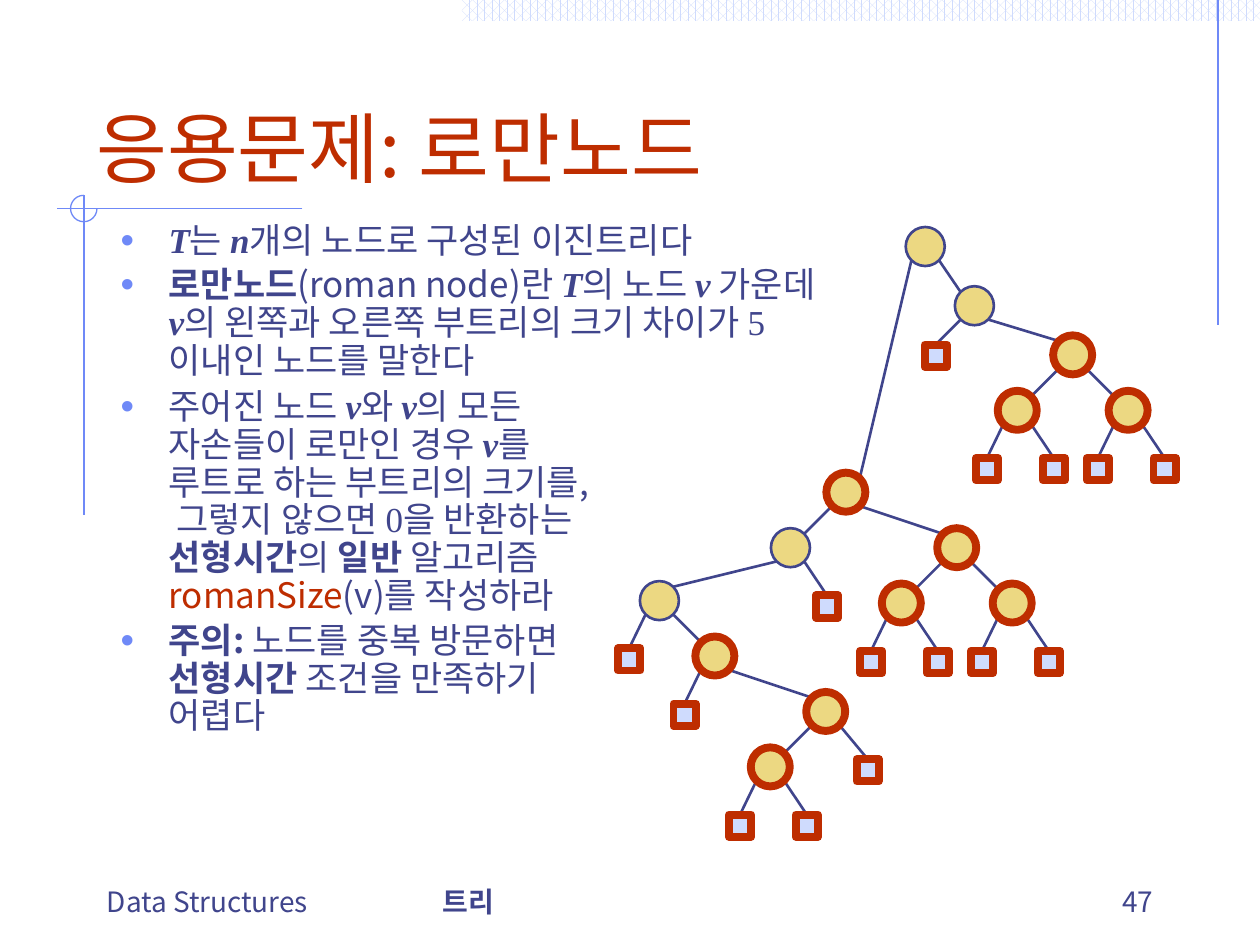
import math
from dataclasses import dataclass
from typing import Optional

from lxml import etree
from pptx import Presentation
from pptx import util as u
from pptx.dml.color import RGBColor
from pptx.enum import dml, shapes, text
from pptx.oxml.ns import qn

INK = RGBColor(0x40, 0x45, 0x8C)
RED = RGBColor(0xBE, 0x2D, 0x00)
BLUE = RGBColor(0x6F, 0x89, 0xF7)
PALE = RGBColor(0xCF, 0xDB, 0xFD)
GOLD = RGBColor(0xEC, 0xD8, 0x82)
WHITE = RGBColor(0xFF, 0xFF, 0xFF)

SANS, SERIF = "Noto Sans CJK KR", "Times New Roman"

# Run styles: font, bold, italic, colour
PLAIN = (SANS, False, False, INK)
BOLD = (SANS, True, False, INK)
VAR = (SERIF, True, True, INK)
NUM = (SERIF, False, False, INK)
CODE = (SANS, False, False, RED)

DEFINITIONS = [
    [("T", VAR), ("는 ", PLAIN), ("n", VAR), ("개의 노드로 구성된 이진트리다", PLAIN)],
    [("로만노드", BOLD), ("(roman node)란 ", PLAIN), ("T", VAR), ("의 노드 ", PLAIN),
     ("v", VAR), (" 가운데 ", PLAIN), ("v", VAR),
     ("의 왼쪽과 오른쪽 부트리의 크기 차이가 ", PLAIN), ("5 ", NUM),
     ("이내인 노드를 말한다", PLAIN)],
]
TASK = [
    [("주어진 노드 ", PLAIN), ("v", VAR), ("와 ", PLAIN), ("v", VAR),
     ("의 모든 자손들이 로만인 경우 ", PLAIN), ("v", VAR),
     ("를 루트로 하는 부트리의 크기를, 그렇지 않으면 ", PLAIN), ("0", NUM),
     ("을 반환하는 ", PLAIN), ("선형시간", BOLD), ("의 ", PLAIN), ("일반", BOLD),
     (" 알고리즘 ", PLAIN), ("romanSize", CODE), ("(v)를 작성하라", PLAIN)],
    [("주의: ", BOLD), ("노드를 중복 방문하면 ", PLAIN), ("선형시간", BOLD),
     (" 조건을 만족하기 어렵다", PLAIN)],
]

# Tree measures, in grid cells
NODE, LEAF = 0.93, 0.53
CORNER = NODE / 2 * math.sqrt(0.5)
STEP = 1.32


@dataclass
class Node:
    """A tree node placed relative to its parent; no children means a leaf."""
    dx: float
    dy: float
    left: Optional["Node"] = None
    right: Optional["Node"] = None
    roman: bool = True


LEFT_LEAF, RIGHT_LEAF = Node(-0.72, 1.4), Node(0.87, 1.4)


def pair(dx):
    """Node with two leaves, one step below its parent."""
    return Node(dx, STEP, LEFT_LEAF, RIGHT_LEAF)


def fork(dx, dy):
    """Node whose two children each carry two leaves."""
    return Node(dx, dy, pair(-STEP), pair(STEP))


CHAIN = Node(STEP, STEP, LEFT_LEAF, Node(2 * STEP, STEP, pair(-STEP), Node(1, 1.4)))
UNBALANCED = Node(-STEP, STEP, Node(-3.12, 1.26, LEFT_LEAF, CHAIN, False),
                  RIGHT_LEAF, False)
TREE = Node(22.03, 5.87,
            Node(-1.89, 5.85, UNBALANCED, fork(2 * STEP, STEP)),
            Node(1.17, 1.41, Node(-0.92, 1.19), fork(2.34, 1.17), False),
            False)


def cells(*values):
    """Grid cells are a third of an inch: 30 columns by 22.5 rows."""
    return [u.Inches(value / 3) for value in values]


def add_line(slide, start, end, color, width):
    line = slide.shapes.add_connector(shapes.MSO_CONNECTOR.STRAIGHT, *cells(*start, *end))
    line.line.color.rgb = color
    line.line.width = u.Pt(width)
    etree.SubElement(line._element.spPr, qn("a:effectLst"))
    return line


def add_figure(slide, kind, box, fill, color, width):
    figure = slide.shapes.add_shape(kind, *cells(*box))
    figure.shadow.inherit = False
    if fill is None:
        figure.fill.background()
    else:
        figure.fill.solid()
        figure.fill.fore_color.rgb = fill
    figure.line.color.rgb = color
    figure.line.width = u.Pt(width)
    return figure


def add_run(paragraph, words, style, size):
    run = paragraph.add_run()
    run.text = words
    font = run.font
    font.name, font.bold, font.italic, font.color.rgb = style
    font.size = u.Pt(size)
    latin = font._element.find(qn("a:latin"))
    east_asian = etree.Element(qn("a:ea"), typeface=style[0])
    latin.addnext(east_asian)


def add_text(slide, box, paragraphs, size, anchor=text.MSO_ANCHOR.BOTTOM,
             align=text.PP_ALIGN.LEFT, bulleted=False):
    frame = slide.shapes.add_textbox(*cells(*box)).text_frame
    frame.word_wrap = True
    frame.vertical_anchor = anchor
    for i, runs in enumerate(paragraphs):
        paragraph = frame.add_paragraph() if i else frame.paragraphs[0]
        paragraph.alignment = align
        if bulleted:
            add_bullet(paragraph)
        for words, style in runs:
            add_run(paragraph, words, style, size)


def add_bullet(paragraph):
    paragraph.line_spacing = 0.9
    paragraph.space_before = u.Pt(4)
    props = paragraph._p.get_or_add_pPr()
    indent = u.Inches(0.38)
    props.set("marL", str(indent))
    props.set("indent", str(-indent))
    color = etree.SubElement(props, qn("a:buClr"))
    etree.SubElement(color, qn("a:srgbClr"), val=str(BLUE))
    etree.SubElement(props, qn("a:buSzPct"), val="110000")
    etree.SubElement(props, qn("a:buFont"), typeface="Arial")
    etree.SubElement(props, qn("a:buChar"), char="•")


def add_tree(slide, node, x=0, y=0):
    """Draw a subtree; return its top figure and centre."""
    x, y = x + node.dx, y + node.dy
    is_leaf = node.left is None
    size = LEAF if is_leaf else NODE
    kind = shapes.MSO_SHAPE.RECTANGLE if is_leaf else shapes.MSO_SHAPE.OVAL
    border = (RED, 4.5) if node.roman else (INK, 1.5)
    figure = add_figure(slide, kind, (x - size / 2, y - size / 2, size, size),
                        PALE if is_leaf else GOLD, *border)
    for child, side in ((node.left, -1), (node.right, 1)):
        if child is None:
            continue
        child_figure, child_x, child_y = add_tree(slide, child, x, y)
        start = (x + side * CORNER, y + CORNER)
        end = (child_x - side * CORNER, child_y - CORNER)
        edge = add_line(slide, start, end, INK, 1.5)
        if child.left is None:
            edge.end_connect(child_figure, 0)
        figure._element.addprevious(edge._element)  # edges lie behind nodes
    return figure, x, y


def add_decoration(slide):
    strip = add_figure(slide, shapes.MSO_SHAPE.RECTANGLE, (11, 0, 19, 0.5), PALE, PALE, 1)
    strip.fill.patterned()
    strip.fill.pattern = dml.MSO_PATTERN.PERCENT_60
    strip.fill.fore_color.rgb = PALE
    strip.fill.back_color.rgb = WHITE
    strip.line.fill.background()
    for start, end in (((29, 0), (29, 7.75)), ((7.2, 4.97), (1.35, 4.97)),
                       ((2, 4.65), (2, 12.27))):
        add_line(slide, start, end, BLUE, 0.75)
    # Three quarters of a circle, open at the top right
    arc = add_figure(slide, shapes.MSO_SHAPE.ARC, (1.68, 4.65, 0.63, 0.63), None, BLUE, 0.75)
    arc.adjustments[0], arc.adjustments[1] = 0, 162


def main():
    prs = Presentation()
    prs.slide_width, prs.slide_height = cells(30, 22.5)
    slide = prs.slides.add_slide(prs.slide_layouts[6])

    add_decoration(slide)

    # Title and explanations
    add_text(slide, (2, 1, 25.5, 3.75), [[("응용문제: 로만노드", CODE)]], 44)
    for box, paragraphs in (((2.58, 5.16, 17.58, 3.96), DEFINITIONS),
                            ((2.58, 9.12, 11.73, 10.62), TASK)):
        add_text(slide, box, paragraphs, 20, text.MSO_ANCHOR.TOP, bulleted=True)

    add_tree(slide, TREE)

    # Footer
    for left, width, words, style, align in (
            (2.25, 8.3, "Data Structures", PLAIN, text.PP_ALIGN.LEFT),
            (10.25, 9.5, "트리", BOLD, text.PP_ALIGN.LEFT),
            (21.5, 6.25, "47", PLAIN, text.PP_ALIGN.RIGHT)):
        add_text(slide, (left, 20.5, width, 1.5), [[(words, style)]], 16, align=align)

    prs.save("out.pptx")


if __name__ == "__main__":
    main()
